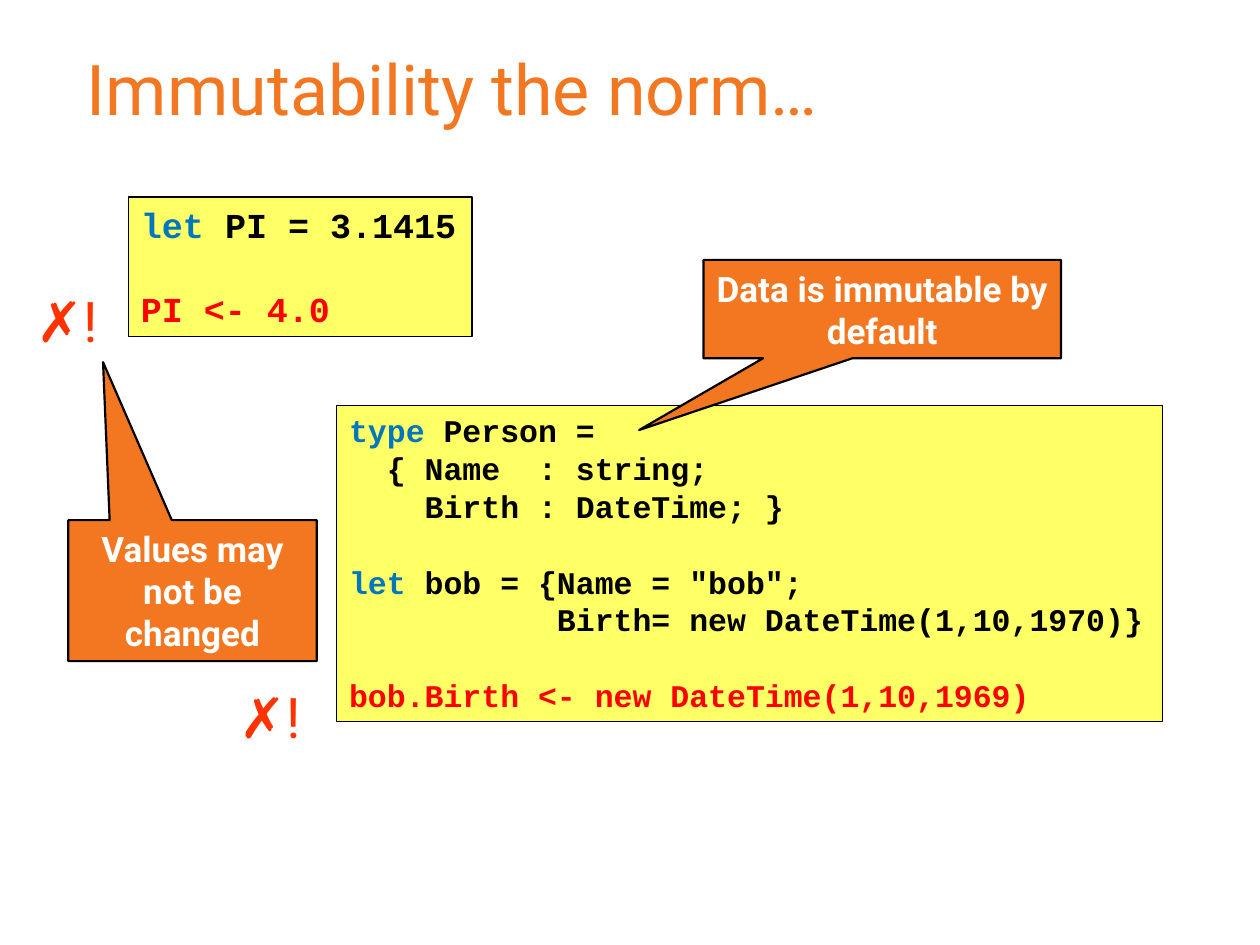
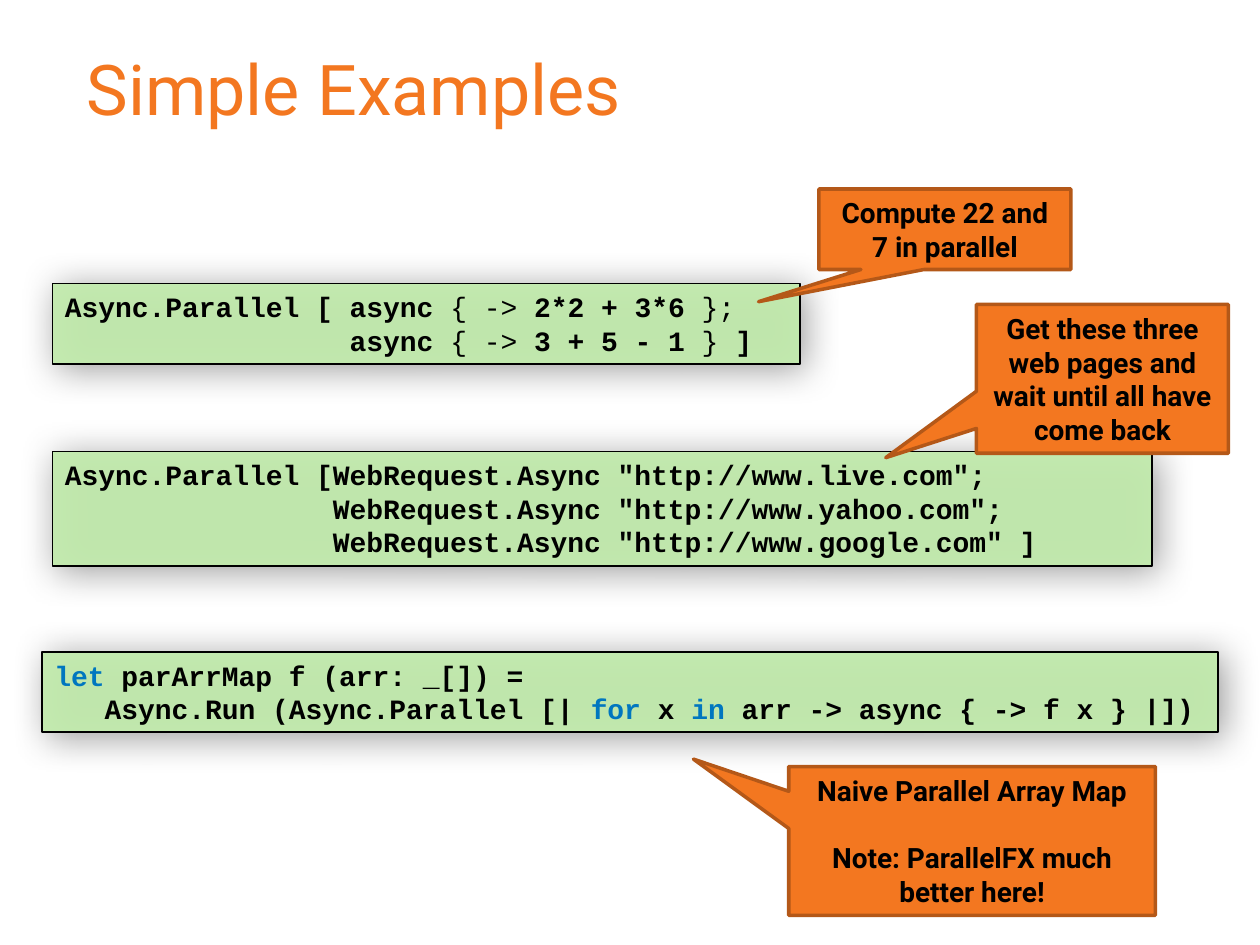
from lxml import etree
from pptx import Presentation
from pptx.dml.color import RGBColor
from pptx.enum import shapes, text
from pptx.oxml.ns import qn
from pptx.util import Pt

ORANGE, BROWN, BLUE = "F37720", "B45818", "0076BF"
BLACK, WHITE, RED, CROSS = "000000", "FFFFFF", "FF0000", "FF3300"
YELLOW, GREEN = "FFFF66", "C2EBAD"
SANS, MONO = "Roboto", "Courier New"


def rgb(code):
    return RGBColor.from_string(code)


def word(string):
    return string, {"color": BLUE}


def wrong(string):
    return string, {"color": RED}


def thin(string):
    return string, {"bold": False}


def write(frame, lines, font=SANS, size=20, color=BLACK, bold=True,
          align=text.PP_ALIGN.LEFT, pitch=None):
    """Fill a frame; a line is a list of pieces, and None is a one-line gap."""
    frame.word_wrap = True
    gap, par = 0, None
    for line in lines:
        if line is None:
            gap = 1.2 * size
            continue
        par = frame.add_paragraph() if par is not None else frame.paragraphs[0]
        par.alignment = align
        if pitch:
            par.line_spacing = Pt(pitch * size)
        par.space_before = Pt(gap)
        gap = 0
        for piece in line:
            string, change = (piece, {}) if isinstance(piece, str) else piece
            run = par.add_run()
            run.text = string
            run.font.name, run.font.size = font, Pt(size)
            run.font.bold = change.get("bold", bold)
            run.font.color.rgb = rgb(change.get("color", color))


class Deck:
    def __init__(self):
        self.prs = Presentation()
        self.prs.slide_width, self.prs.slide_height = Pt(720), Pt(540)

    def page(self, title):
        self.slide = self.prs.slides.add_slide(self.prs.slide_layouts[5])
        head = self.slide.shapes.title
        head.left, head.top, head.width, head.height = map(Pt, (42.5, 22.3, 633.6, 90))
        head.text_frame.vertical_anchor = text.MSO_ANCHOR.TOP
        write(head.text_frame, [[title]], size=40, color=ORANGE, bold=False)

    def shape(self, kind, box, fill, line, width):
        item = self.slide.shapes.add_shape(kind, *map(Pt, box))
        item.shadow.inherit = False
        item.fill.solid()
        item.fill.fore_color.rgb = rgb(fill)
        item.line.color.rgb, item.line.width = rgb(line), Pt(width)
        return item

    def code(self, box, lines, size=16, fill=GREEN, width=1):
        item = self.shape(shapes.MSO_SHAPE.RECTANGLE, box, fill, BLACK, width)
        item.text_frame.vertical_anchor = text.MSO_ANCHOR.TOP
        write(item.text_frame, lines, font=MONO, size=size, pitch=1.2)
        return item

    def glass(self, box, lines):
        """Add a code box that is slightly see-through and casts a shadow."""
        props = self.code(box, lines)._element.spPr
        tint = props.find(qn("a:solidFill"))[0]
        etree.SubElement(tint, qn("a:alpha"), val="94000")
        shade = etree.SubElement(
            props.find(qn("a:effectLst")), qn("a:outerShdw"), blurRad=str(Pt(21)),
            dist=str(Pt(3)), dir="2700000", algn="tl", rotWithShape="0")
        tint = etree.SubElement(shade, qn("a:srgbClr"), val=BLACK)
        etree.SubElement(tint, qn("a:alpha"), val="40000")

    def call(self, box, tip, lines, size=16, color=BLACK, line=BROWN, width=2):
        """Add a callout; tip is its offset from the centre in box sizes."""
        kind = shapes.MSO_SHAPE.RECTANGULAR_CALLOUT
        item = self.shape(kind, box, ORANGE, line, width)
        item.adjustments[0], item.adjustments[1] = tip
        item.text_frame.vertical_anchor = text.MSO_ANCHOR.MIDDLE
        write(item.text_frame, lines, size=size, color=color,
              align=text.PP_ALIGN.CENTER, pitch=1.2)

    def cross(self, left, top):
        item = self.slide.shapes.add_textbox(*map(Pt, (left, top, 55.4, 45.4)))
        write(item.text_frame, [["✗!"]], size=32, color=CROSS, bold=False)


def norm(deck):
    deck.page("Immutability the norm…")
    yellow = dict(fill=YELLOW, width=0.75)
    white = dict(size=20, color=WHITE, line=BLACK, width=1.25)
    deck.code((73.4, 112.5, 196.4, 79.9), [
        [word("let "), "PI = 3.1415"],
        None,
        [wrong("PI <- 4.0")],
    ], size=20, **yellow)
    deck.call((39, 297.2, 142, 80.6), (-0.36, -1.62),
              [["Values may not be changed"]], **white)
    deck.code((192.4, 231.6, 472, 180.6), [
        [word("type "), "Person ="],
        ["  { Name  : string;"],
        ["    Birth : DateTime; }"],
        None,
        [word("let"), ' bob = {Name = "bob";'],
        ["           Birth= new DateTime(1,10,1970)}"],
        None,
        [wrong("bob.Birth <- new DateTime(1,10,1969)")],
    ], size=18, **yellow)
    deck.call((402, 148.5, 204.3, 56.2), (-0.68, 1.23),
              [["Data is immutable by default"]], **white)
    for spot in ((13.7, 160), (129.6, 386.6)):
        deck.cross(*spot)


def demos(deck):
    deck.page("Simple Examples")
    deck.glass((30, 162, 427, 46), [
        ["Async.Parallel [ async", thin(" { -> "), "2*2 + 3*6 ", thin("};")],
        ["                 async", thin(" { ->"), " 3 + 5 - 1 ", thin("} "), "]"],
    ])
    deck.call((468, 108, 144, 46), (-0.74, 0.9), [["Compute 22 and 7 in parallel"]])
    deck.glass((30, 258, 628.5, 65.5), [
        ['Async.Parallel [WebRequest.Async "http://www.live.com";'],
        ['                WebRequest.Async "http://www.yahoo.com";'],
        ['                WebRequest.Async "http://www.google.com" ]'],
    ])
    deck.call((558, 174, 144, 85), (-0.86, 0.53),
              [["Get these three web pages and wait until all have come back"]])
    deck.glass((24, 372.5, 672, 46), [
        [word("let "), "parArrMap f (arr: _[]) ="],
        ["   Async.Run (Async.Parallel [| ", word("for"), " x ", word("in "),
         "arr -> async { -> f x } |])"],
    ])
    deck.call((450.7, 438, 209.5, 85), (-0.76, -0.55), [
        ["Naive Parallel Array Map"],
        None,
        ["Note: ParallelFX much better here!"],
    ])


def main():
    deck = Deck()
    norm(deck)
    demos(deck)
    deck.prs.save("out.pptx")


if __name__ == "__main__":
    main()
